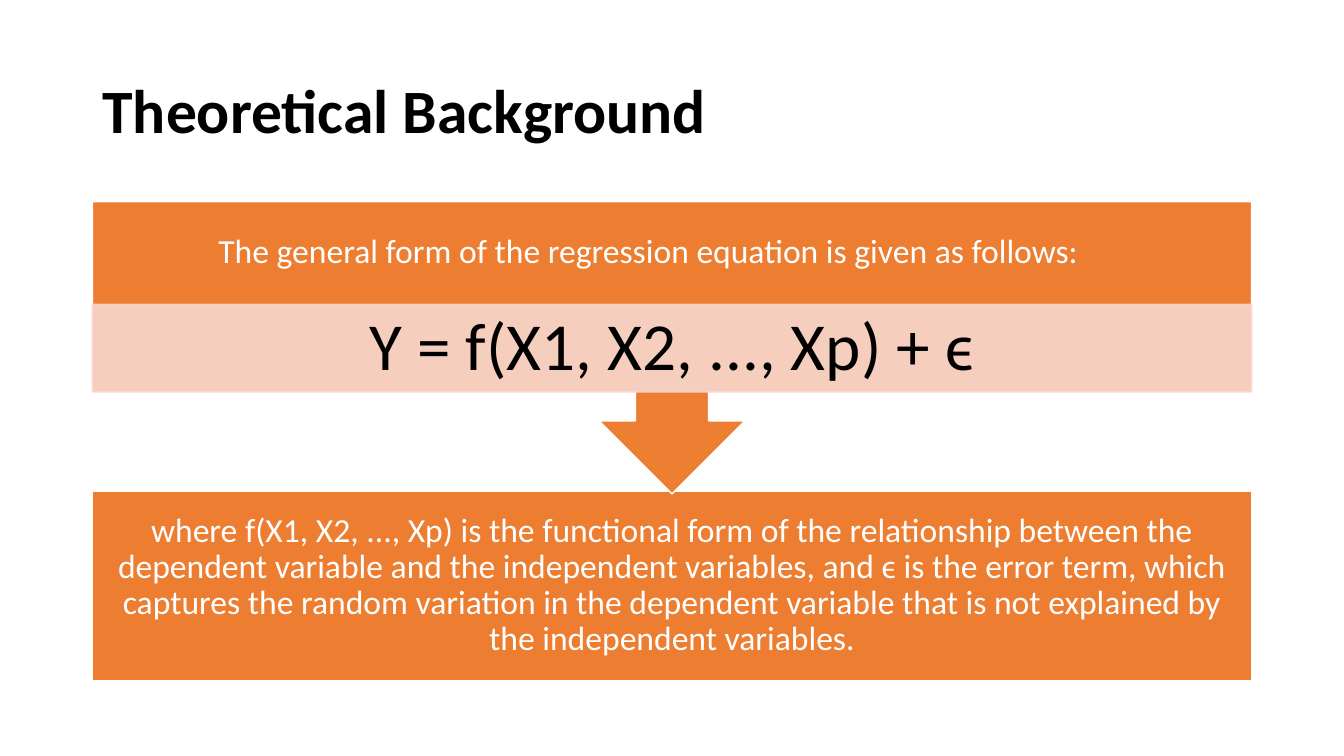
from dataclasses import dataclass

from lxml import etree
from pptx import Presentation, util as u
from pptx.dml.color import RGBColor
from pptx.enum import shapes, text
from pptx.oxml import ns


@dataclass(frozen=True)
class Theme:
    font: str = "Calibri"
    accent: str = "ED7D31"
    tint: str = "F8D7CE"
    light: str = "FFFFFF"
    dark: str = "000000"
    title_size: int = 44
    body_size: int = 24
    formula_size: int = 48
    outline: float = 1
    line_spacing: float = 0.9


class SlideBuilder:
    """Places styled elements on a grid of 160 columns by 150 rows."""

    COLUMNS, ROWS = 160, 150

    def __init__(self, deck, theme):
        self.theme = theme
        self.column = deck.slide_width / self.COLUMNS
        self.row = deck.slide_height / self.ROWS
        self.page = deck.slides.add_slide(deck.slide_layouts[5])

    def area(self, left, top, width, height):
        """Turn columns and rows into slide lengths."""
        return (u.Emu(round(left * self.column)), u.Emu(round(top * self.row)),
                u.Emu(round(width * self.column)), u.Emu(round(height * self.row)))

    def set_text(self, box, words, size, color, bold=False,
                 align=text.PP_ALIGN.CENTER, inset=(0.1, 0.05)):
        frame = box.text_frame
        frame.word_wrap = True
        frame.auto_size = text.MSO_AUTO_SIZE.NONE
        frame.vertical_anchor = text.MSO_ANCHOR.MIDDLE
        frame.margin_left = frame.margin_right = u.Inches(inset[0])
        frame.margin_top = frame.margin_bottom = u.Inches(inset[1])
        para = frame.paragraphs[0]
        para.alignment = align
        para.line_spacing = self.theme.line_spacing
        span = para.add_run()
        span.text = words
        span.font.name = self.theme.font
        span.font.size = u.Pt(size)
        span.font.bold = bold
        span.font.color.rgb = RGBColor.from_string(color)

    def title(self, words, *cells):
        box = self.page.shapes.title
        box.left, box.top, box.width, box.height = self.area(*cells)
        self.set_text(box, words, self.theme.title_size, self.theme.dark,
                      bold=True, align=text.PP_ALIGN.LEFT)

    def shape(self, kind, *cells, fill, line, opacity=100, rotation=0):
        box = self.page.shapes.add_shape(kind, *self.area(*cells))
        box.shadow.inherit = False
        box.rotation = rotation
        box.fill.solid()
        box.fill.fore_color.rgb = RGBColor.from_string(fill)
        box.line.color.rgb = RGBColor.from_string(line)
        box.line.width = u.Pt(self.theme.outline)
        if opacity < 100:
            for color in box.element.spPr.iter(ns.qn("a:srgbClr")):
                etree.SubElement(color, ns.qn("a:alpha"), val=str(opacity * 1000))
        return box

    def text_box(self, words, *cells, **style):
        box = self.page.shapes.add_textbox(*self.area(*cells))
        self.set_text(box, words, **style)


def main():
    deck = Presentation()
    deck.slide_width, deck.slide_height = u.Inches(13.33), u.Inches(7.5)
    theme = Theme()
    builder = SlideBuilder(deck, theme)
    left, width = 11, 138
    kinds = shapes.MSO_SHAPE
    block = dict(fill=theme.accent, line=theme.light)
    body = dict(size=theme.body_size, color=theme.light, inset=(0.19, 0.19))

    builder.title("Theoretical Background", left, 8, width, 29)

    explanation = builder.shape(kinds.RECTANGLE, left, 97.4, width, 37.6, **block)
    builder.set_text(
        explanation,
        "where f(X1, X2, ..., Xp) is the functional form of the relationship "
        "between the dependent variable and the independent variables, and ϵ is "
        "the error term, which captures the random variation in the dependent "
        "variable that is not explained by the independent variables.",
        **body)

    builder.shape(kinds.UP_ARROW_CALLOUT, left, 40, width, 58, rotation=180, **block)
    builder.text_box(
        "The general form of the regression equation is given as follows: \t",
        left, 40, width, 20.4, **body)

    formula = builder.shape(kinds.RECTANGLE, left, 60.4, width, 17.4,
                            fill=theme.tint, line=theme.tint, opacity=90)
    builder.set_text(formula, "Y = f(X1, X2, ..., Xp) + ϵ", theme.formula_size,
                     theme.dark, inset=(0.37, 0.07))

    deck.save("out.pptx")


if __name__ == "__main__":
    main()
